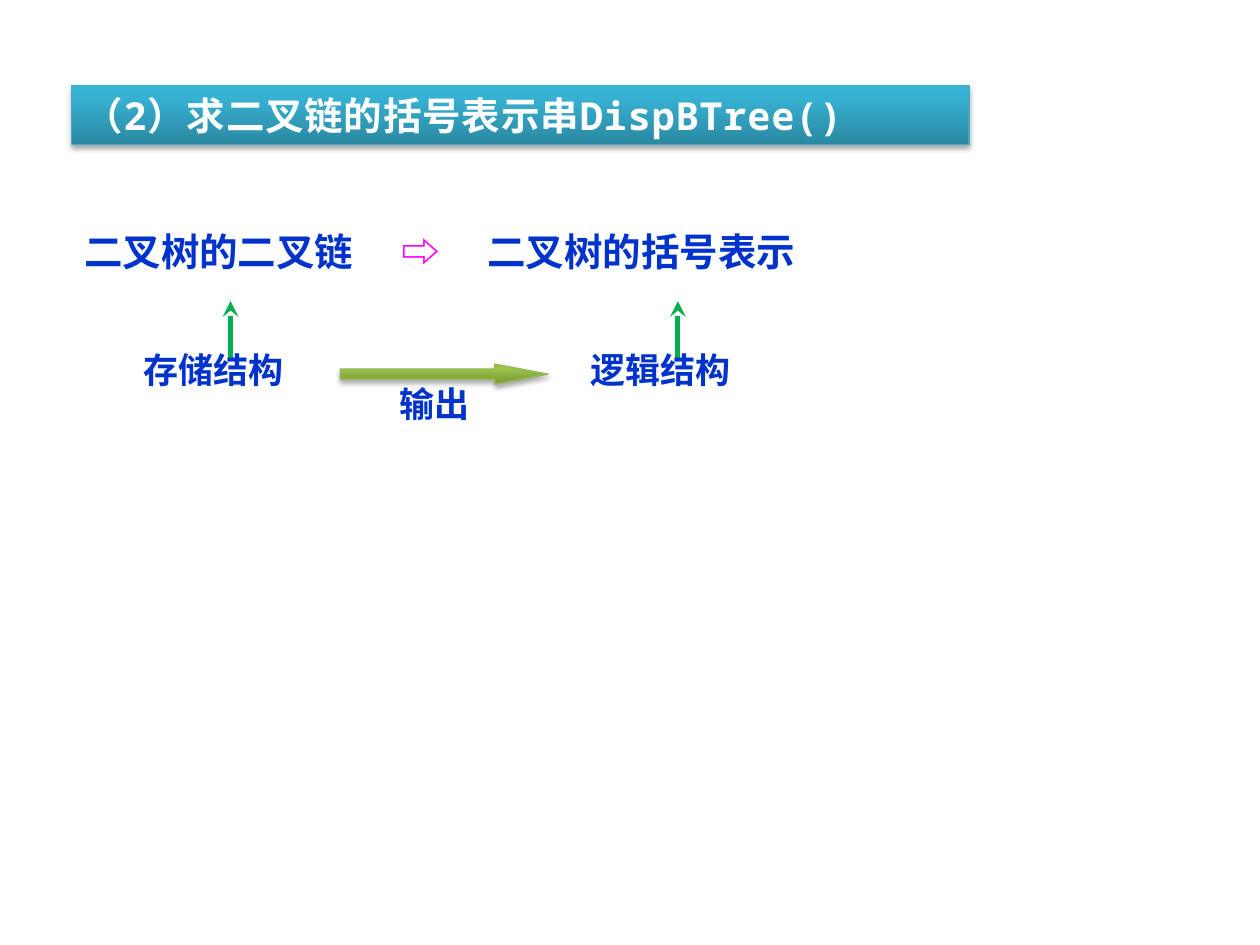
from copy import deepcopy

from lxml.etree import SubElement
from pptx import Presentation
from pptx.dml.color import RGBColor
from pptx.enum.shapes import MSO_CONNECTOR, MSO_SHAPE
from pptx.enum.text import MSO_ANCHOR, PP_ALIGN
from pptx.oxml.ns import qn
from pptx.util import Inches, Pt

BLUE, MAGENTA, GREEN, WHITE = "0033CC", "FF00FF", "00B050", "FFFFFF"
SANS, MONO, SERIF = "Noto Sans CJK SC", "Noto Sans Mono", "Times New Roman"

TITLE = "（2）求二叉链的括号表示串DispBTree()"
CONVERSION = [("二叉树的二叉链\t", BLUE), ("⇨\t", MAGENTA), ("二叉树的括号表示", BLUE)]
CONVERSION_TABS = [2.52, 3.2]
STRUCTURES = [("存储结构", 1.04), ("逻辑结构", 4.59)]  # label, left
OUTPUT = "输出"

TEAL_STOPS = [(0, "2A88A2"), (0.8, "37B1D2"), (1, "34B4D6")]
OLIVE_STOPS = [(0, "779737"), (0.8, "9BC348"), (1, "9DC746")]


def rgb(value):
    return RGBColor.from_string(value)


def write(box, spans, size, font, line_spacing=None, align=PP_ALIGN.LEFT, tabs=(), tracking=None):
    frame = box.text_frame
    frame.word_wrap = True
    frame.vertical_anchor = MSO_ANCHOR.TOP
    para = frame.paragraphs[0]
    para.alignment = align
    para.line_spacing = line_spacing
    if tabs:
        tab_list = SubElement(para._p.get_or_add_pPr(), qn("a:tabLst"))
        for position in tabs:
            SubElement(tab_list, qn("a:tab"), pos=str(Inches(position)), algn="l")
    for text, color in spans:
        span = para.add_run()
        span.text = text
        span.font.size = Pt(size)
        span.font.bold = True
        span.font.name = font
        span.font.color.rgb = rgb(color)
        properties = span._r.get_or_add_rPr()
        SubElement(properties, qn("a:ea"), typeface=SANS)
        if tracking:
            properties.set("spc", str(tracking))


def add_text(page, left, top, width, height, spans, size, font, **options):
    box = page.shapes.add_textbox(Inches(left), Inches(top), Inches(width), Inches(height))
    write(box, spans, size, font, line_spacing=0.8, **options)


def add_glossy(page, kind, left, top, width, height, stops, outline):
    """Add a shape with a bottom-to-top gradient and a soft shadow below it."""
    shape = page.shapes.add_shape(kind, Inches(left), Inches(top), Inches(width), Inches(height))
    shape.fill.gradient()
    shape.fill.gradient_angle = 90
    stop_list = shape._element.spPr.find(qn("a:gradFill")).find(qn("a:gsLst"))
    stop_list.append(deepcopy(stop_list[-1]))
    for stop, (position, color) in zip(shape.fill.gradient_stops, stops):
        stop.position = position
        stop.color.rgb = rgb(color)
    shape.line.color.rgb = rgb(outline)
    shape.line.width = Pt(0.75)
    shape.shadow.inherit = False
    effects = shape._element.spPr.find(qn("a:effectLst"))
    shadow = SubElement(effects, qn("a:outerShdw"), blurRad=str(Pt(3.1)), dist=str(Pt(1.8)),
                        dir="5400000", rotWithShape="0")
    black = SubElement(shadow, qn("a:srgbClr"), val="000000")
    SubElement(black, qn("a:alpha"), val="35000")
    return shape


def add_up_arrow(page, x, bottom, top):
    arrow = page.shapes.add_connector(
        MSO_CONNECTOR.STRAIGHT, Inches(x), Inches(bottom), Inches(x), Inches(top))
    arrow.line.color.rgb = rgb(GREEN)
    arrow.line.width = Pt(3)
    SubElement(arrow.line._get_or_add_ln(), qn("a:tailEnd"), type="stealth")
    SubElement(arrow._element.spPr, qn("a:effectLst"))


def main():
    deck = Presentation()
    deck.slide_width, deck.slide_height = Inches(10), Inches(7.5)
    page = deck.slides.add_slide(deck.slide_layouts[6])

    banner = add_glossy(page, MSO_SHAPE.RECTANGLE, 0.57, 0.68, 7.12, 0.47, TEAL_STOPS, "46AAC5")
    write(banner, [(TITLE, WHITE)], 22, MONO, tracking=50)

    add_text(page, 0.57, 1.83, 6.85, 0.47, CONVERSION, 22, SERIF, tabs=CONVERSION_TABS)

    for label, left in STRUCTURES:
        add_up_arrow(page, left + 0.79, 2.86, 2.39)
        add_text(page, left, 2.78, 1.81, 0.44, [(label, BLUE)], 20, SANS)

    output_arrow = add_glossy(
        page, MSO_SHAPE.RIGHT_ARROW, 2.7, 2.89, 1.65, 0.16, OLIVE_STOPS, "98B955")
    output_arrow.adjustments[1] = 2.65
    add_text(page, 2.7, 3.05, 1.5, 0.44, [(OUTPUT, BLUE)], 20, SERIF, align=PP_ALIGN.CENTER)

    deck.save("out.pptx")


if __name__ == "__main__":
    main()
